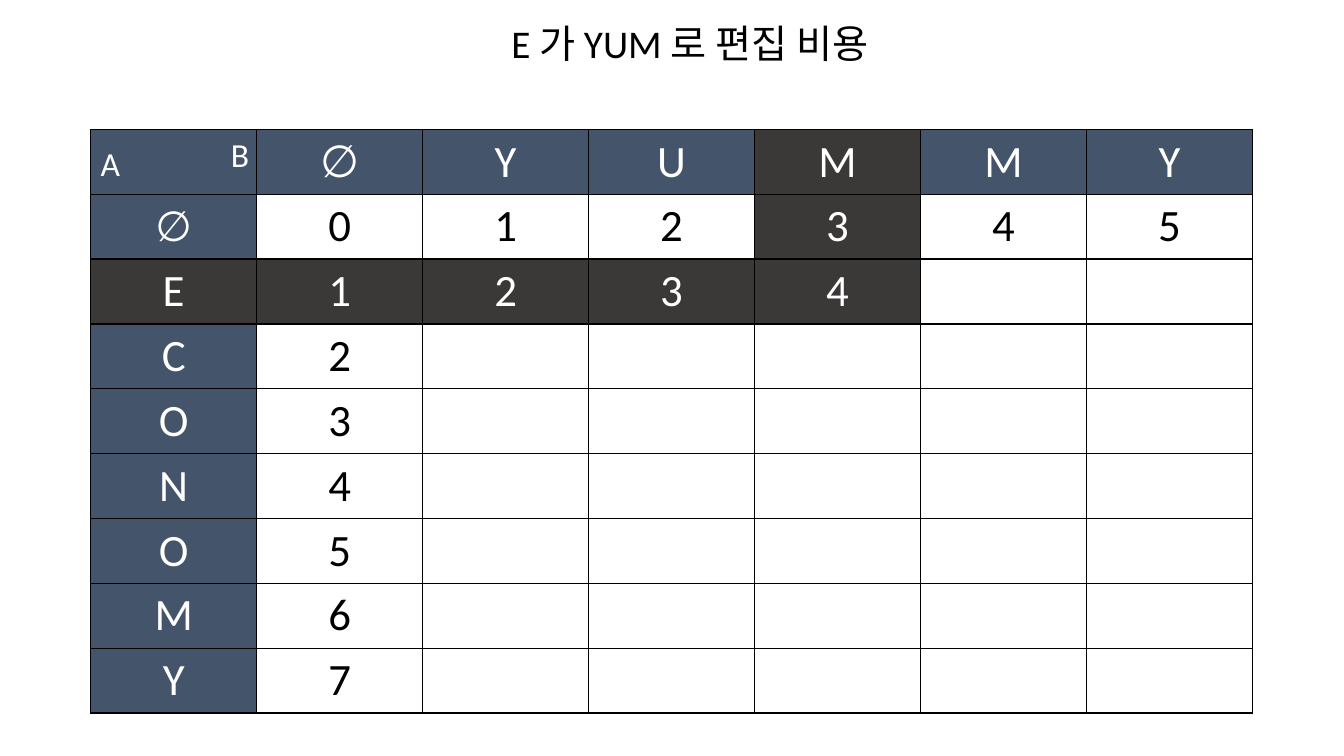
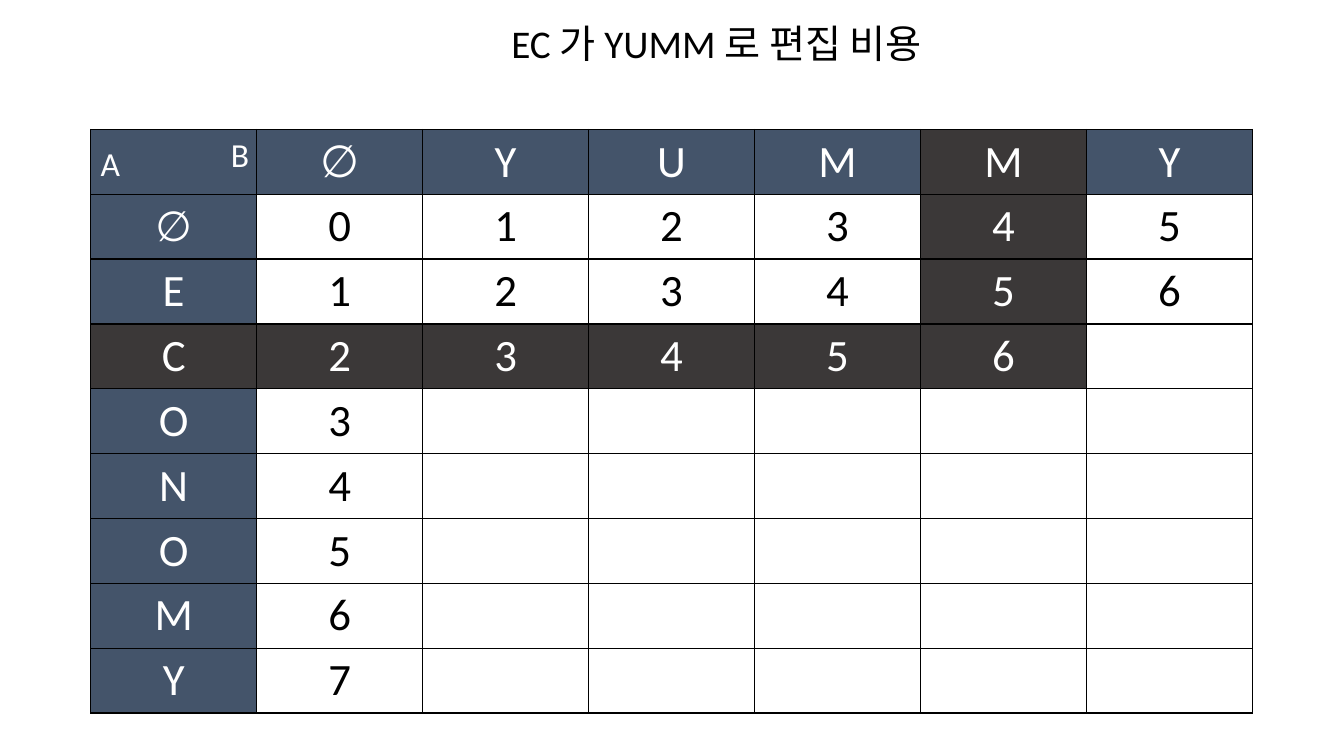
from dataclasses import dataclass

from lxml import etree
from pptx import Presentation
from pptx.dml.color import RGBColor
from pptx.enum import text as t
from pptx.oxml import ns
from pptx.util import Pt


@dataclass(frozen=True)
class Theme:
    """Colours, font and type sizes shared by the slides."""
    header: str = "44546A"
    highlight: str = "3B3838"
    light: str = "FFFFFF"
    dark: str = "000000"
    font: str = "Calibri"
    title_size: int = 28
    cell_size: int = 32
    row_empty_size: int = 30
    label_size: int = 24
    border: int = 1


@dataclass(frozen=True)
class Box:
    """A region in points."""
    left: float
    top: float
    width: float
    height: float

    def lengths(self):
        """Return the region as slide lengths."""
        return [Pt(value) for value in (self.left, self.top, self.width, self.height)]


THEME = Theme()
SOURCE_WORD = "∅ECONOMY"
TARGET_WORD = "∅YUMMY"
GRID_BOX = Box(64.8, 92.4, 830, 417)
TITLE_LEFT, TITLE_TOP, TITLE_HEIGHT = 358, 10, 41
STEPS = [
    {"row": 1, "column": 3, "title_width": 284},
    {"row": 2, "column": 4, "title_width": 322},
]


def set_attributes(target, values):
    """Set every named attribute on the target."""
    for name, value in values.items():
        setattr(target, name, value)


def write(frame, content, size, colour, alignment):
    """Write one formatted paragraph into a text frame."""
    paragraph = frame.paragraphs[0]
    paragraph.alignment = alignment
    run = paragraph.add_run()
    run.text = content
    set_attributes(run.font, {"name": THEME.font, "size": Pt(size), "bold": False})
    run.font.color.rgb = RGBColor.from_string(colour)


def add_borders(cell):
    """Draw a thin border on all four sides of a cell."""
    properties = cell._tc.get_or_add_tcPr()
    for index, side in enumerate(("lnL", "lnR", "lnT", "lnB")):
        line = etree.Element(ns.qn(f"a:{side}"), w=str(Pt(THEME.border)))
        fill = etree.SubElement(line, ns.qn("a:solidFill"))
        etree.SubElement(fill, ns.qn("a:srgbClr"), val=THEME.dark)
        properties.insert(index, line)


def fill_cell(cell, content, size, fill):
    """Fill, frame and label one table cell."""
    set_attributes(cell, {"vertical_anchor": t.MSO_ANCHOR.MIDDLE,
                          "margin_top": 0, "margin_bottom": 0})
    cell.fill.solid()
    cell.fill.fore_color.rgb = RGBColor.from_string(fill)
    add_borders(cell)
    if content:
        colour = THEME.dark if fill == THEME.light else THEME.light
        write(cell.text_frame, content, size, colour, t.PP_ALIGN.CENTER)


def cell_content(row, column, step):
    """Return the heading letter or the edit cost known at this step."""
    if row < 0 or column < 0:
        return "" if row == column else (TARGET_WORD[column] if row < 0 else SOURCE_WORD[row])
    known = row == 0 or column == 0 or (row, column) <= (step["row"], step["column"])
    return str(row + column) if known else ""


def cell_fill(row, column, step):
    """Return the highlight, heading or plain colour of a cell."""
    in_row = row == step["row"] and column <= step["column"]
    in_column = column == step["column"] and row <= step["row"]
    if in_row or in_column:
        return THEME.highlight
    return THEME.header if row < 0 or column < 0 else THEME.light


def add_title(slide, box, content):
    """Place the slide title in its box."""
    title = slide.shapes.title
    set_attributes(title, dict(zip(("left", "top", "width", "height"), box.lengths())))
    set_attributes(title.text_frame, {"word_wrap": True,
                                      "vertical_anchor": t.MSO_ANCHOR.TOP,
                                      "auto_size": t.MSO_AUTO_SIZE.SHAPE_TO_FIT_TEXT})
    write(title.text_frame, content, THEME.title_size, THEME.dark, t.PP_ALIGN.LEFT)


def add_grid(slide, box, step):
    """Place the edit cost table in its box."""
    row_count, column_count = len(SOURCE_WORD) + 1, len(TARGET_WORD) + 1
    table = slide.shapes.add_table(row_count, column_count, *box.lengths()).table
    set_attributes(table, {"first_row": False, "horz_banding": False})
    for column in table.columns:
        column.width = Pt(box.width / column_count)
    for row in table.rows:
        row.height = Pt(box.height / row_count)
    for row in range(-1, len(SOURCE_WORD)):
        for column in range(-1, len(TARGET_WORD)):
            size = THEME.row_empty_size if (row, column) == (0, -1) else THEME.cell_size
            fill_cell(table.cell(row + 1, column + 1), cell_content(row, column, step),
                      size, cell_fill(row, column, step))


def add_corner_labels(slide, box):
    """Place the names of both words in the corner cell of the grid."""
    for content, left, top, width in (("A", 0, 6, 29), ("B", 93, 0, 27)):
        label_box = Box(box.left + left, box.top + top, width, 36)
        frame = slide.shapes.add_textbox(*label_box.lengths()).text_frame
        set_attributes(frame, {"word_wrap": False,
                               "auto_size": t.MSO_AUTO_SIZE.SHAPE_TO_FIT_TEXT})
        write(frame, content, THEME.label_size, THEME.light, t.PP_ALIGN.LEFT)


def add_step_slide(presentation, step):
    """Add a slide for one step of the edit cost table."""
    slide = presentation.slides.add_slide(presentation.slide_layouts.get_by_name("Title Only"))
    source = SOURCE_WORD[1:step["row"] + 1]
    target = TARGET_WORD[1:step["column"] + 1]
    add_title(slide, Box(TITLE_LEFT, TITLE_TOP, step["title_width"], TITLE_HEIGHT),
              f"{source} 가 {target} 로 편집 비용")
    add_grid(slide, GRID_BOX, step)
    add_corner_labels(slide, GRID_BOX)


def main():
    """Build and save the presentation."""
    presentation = Presentation()
    set_attributes(presentation, {"slide_width": Pt(960), "slide_height": Pt(540)})
    for step in STEPS:
        add_step_slide(presentation, step)
    presentation.save("out.pptx")


if __name__ == "__main__":
    main()
